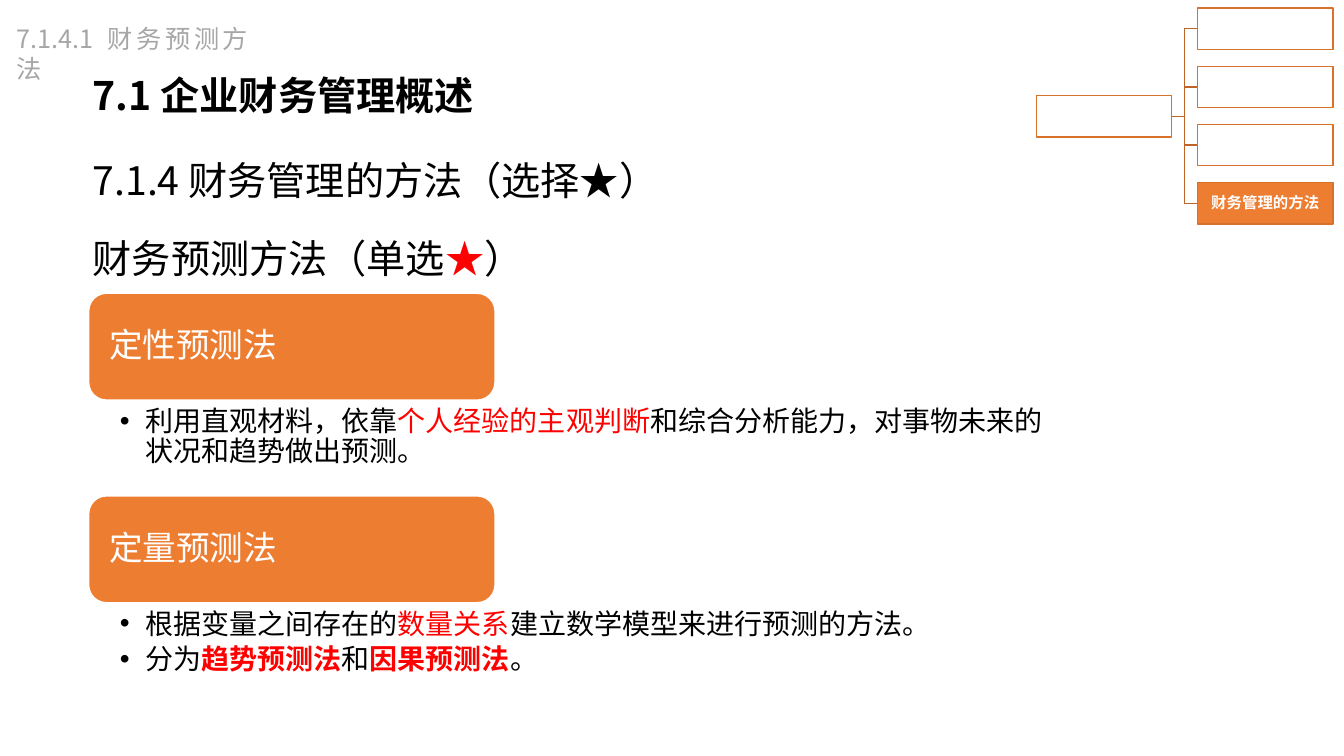
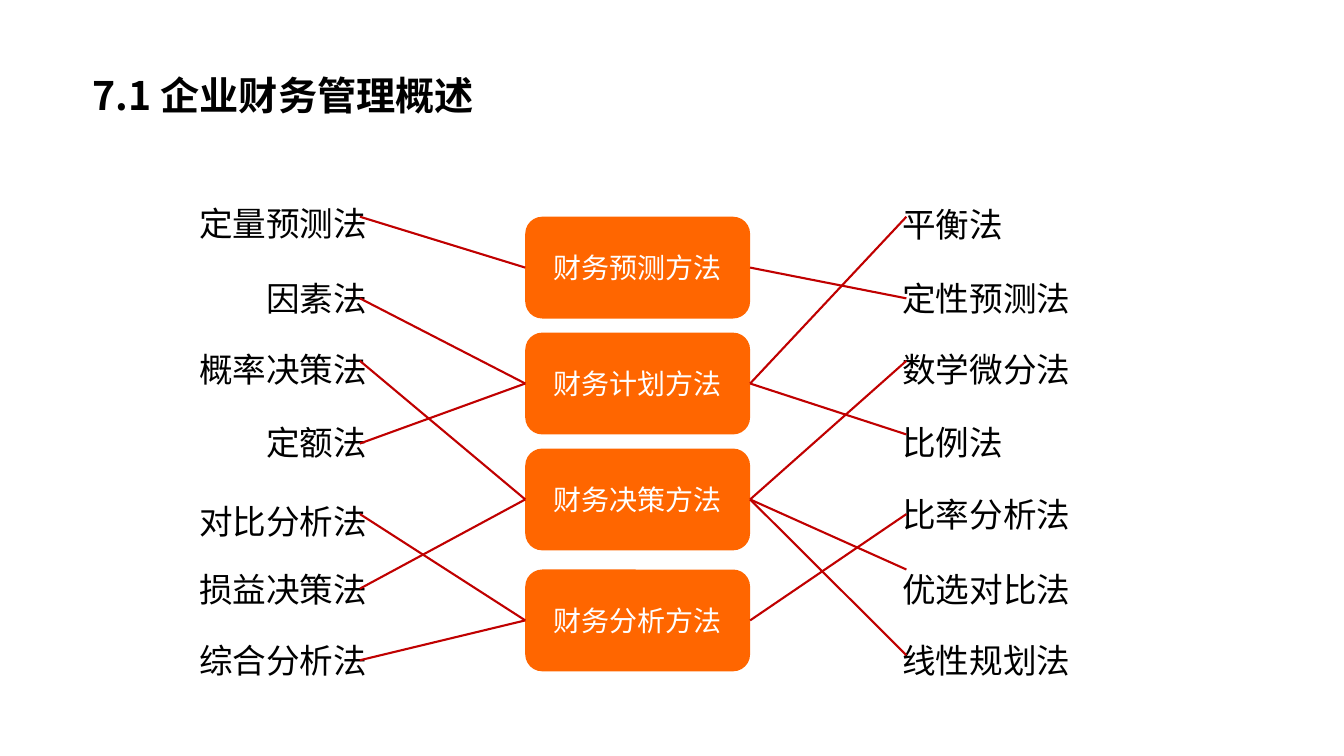
from lxml import etree
from pptx import Presentation
from pptx import util as u
from pptx.dml.color import RGBColor
from pptx.enum import shapes, text
from pptx.oxml.ns import qn

# Shared style
SC, JP = "Noto Sans CJK SC", "Noto Sans CJK JP"
BLACK, WHITE, RED, GREY = "000000", "FFFFFF", "FF0000", "A6A6A6"
ORANGE, BRIGHT_ORANGE = "ED7D31", "FF6600"
TREE_EDGE, TREE_LINE, LINK_RED = "D7712C", "BE6427", "C00000"
CHAPTER = "7.1 企业财务管理概述"
LEFT, CENTER, RIGHT = text.PP_ALIGN.LEFT, text.PP_ALIGN.CENTER, text.PP_ALIGN.RIGHT
TOP, MIDDLE = text.MSO_ANCHOR.TOP, text.MSO_ANCHOR.MIDDLE
WIDE_INSETS = (0.12, 0.06, 0.12, 0.06)
DEFAULT_INSETS = (0.1, 0.05, 0.1, 0.05)

# Slide 1: heading, its top, and the paragraphs below it as (text, colour, bold) runs
FORECASTS = [
    ("定性预测法", 2.91, [
        [("利用直观材料，依靠", BLACK, False), ("个人经验的主观判断", RED, False),
         ("和综合分析能力，对事物未来的状况和趋势做出预测。", BLACK, False)]]),
    ("定量预测法", 4.92, [
        [("根据变量之间存在的", BLACK, False), ("数量关系", RED, False),
         ("建立数学模型来进行预测的方法。", BLACK, False)],
        [("分为", BLACK, False), ("趋势预测法", RED, True), ("和", BLACK, False),
         ("因果预测法", RED, True), ("。", BLACK, False)]]),
]

# Slide 2: categories with their tops; techniques as (label, top, link height, category)
CATEGORIES = [("财务预测方法", 2.15), ("财务计划方法", 3.3),
              ("财务决策方法", 4.45), ("财务分析方法", 5.65)]
LEFT_TECHNIQUES = [
    ("定量预测法", 1.96, 2.15, 0), ("因素法", 2.71, 2.96, 1),
    ("概率决策法", 3.41, 3.58, 2), ("定额法", 4.14, 4.4, 1),
    ("对比分析法", 4.92, 5.1, 3), ("损益决策法", 5.59, 5.84, 2),
    ("综合分析法", 6.3, 6.55, 3)]
RIGHT_TECHNIQUES = [
    ("平衡法", 1.97, 2.15, 1), ("定性预测法", 2.71, 2.96, 0),
    ("数学微分法", 3.41, 3.58, 2), ("比例法", 4.14, 4.31, 1),
    ("比率分析法", 4.85, 5.1, 3), ("优选对比法", 5.59, 5.65, 2),
    ("线性规划法", 6.3, 6.5, 2)]


def rgb(color):
    return RGBColor.from_string(color)


def inches(*lengths):
    return [u.Inches(length) for length in lengths]


def style_paragraph(paragraph, size, face, color, bold=False, align=LEFT,
                    spacing=1.0, after=0):
    paragraph.alignment = align
    paragraph.line_spacing = spacing
    paragraph.space_before, paragraph.space_after = u.Pt(0), u.Pt(after)
    font = paragraph.font
    font.size, font.name, font.bold = u.Pt(size), face, bold
    font.color.rgb = rgb(color)
    defaults = paragraph._p.pPr.find(qn("a:defRPr"))
    etree.SubElement(defaults, qn("a:ea")).set("typeface", face)


def set_frame(frame, anchor=MIDDLE, insets=DEFAULT_INSETS):
    frame.word_wrap = True
    frame.auto_size = text.MSO_AUTO_SIZE.NONE
    frame.vertical_anchor = anchor
    (frame.margin_left, frame.margin_top,
     frame.margin_right, frame.margin_bottom) = inches(*insets)


def place(placeholder, left, top, width, height):
    (placeholder.left, placeholder.top,
     placeholder.width, placeholder.height) = inches(left, top, width, height)


def write(frame, words, size, face, color, **style):
    paragraph = frame.paragraphs[0]
    paragraph.text = words
    style_paragraph(paragraph, size, face, color, **style)
    return paragraph


def add_title(slide):
    title = slide.shapes.title
    place(title, 0.8, 0.65, 11.45, 0.59)
    set_frame(title.text_frame, TOP, WIDE_INSETS)
    write(title.text_frame, CHAPTER, 28, SC, BLACK, bold=True)


def add_label(slide, box, words, size, face, color, anchor=MIDDLE,
              insets=DEFAULT_INSETS, **style):
    frame = slide.shapes.add_textbox(*inches(*box)).text_frame
    set_frame(frame, anchor, insets)
    return write(frame, words, size, face, color, **style)


def add_box(slide, preset, box, fill, edge=None):
    panel = slide.shapes.add_shape(preset, *inches(*box))
    panel.shadow.inherit = False
    panel.fill.solid()
    panel.fill.fore_color.rgb = rgb(fill)
    if edge:
        panel.line.color.rgb = rgb(edge)
        panel.line.width = u.Pt(1)
    else:
        panel.line.fill.background()
    return panel


def add_runs(paragraph, runs):
    for words, color, bold in runs:
        run = paragraph.add_run()
        run.text = words
        run.font.color.rgb = rgb(color)
        run.font.bold = bold


def fill_list(body, top, items):
    place(body, 0.88, top, 9.84, 0.94)
    frame = body.text_frame
    set_frame(frame, TOP, (0.31, 0.03, 0.16, 0.03))
    for number, runs in enumerate(items):
        paragraph = frame.add_paragraph() if number else frame.paragraphs[0]
        add_runs(paragraph, runs)
        indents = paragraph._p.get_or_add_pPr()
        indents.set("marL", str(u.Inches(0.25)))
        indents.set("indent", str(u.Inches(-0.25)))
        style_paragraph(paragraph, 20, JP, BLACK, spacing=0.9, after=4)


def add_forecast(slide, body, heading, top, items):
    panel = add_box(slide, shapes.MSO_SHAPE.ROUNDED_RECTANGLE,
                    (0.88, top, 4.03, 1.06), ORANGE, WHITE)
    set_frame(panel.text_frame, insets=(0.15, 0.1, 0.15, 0.1))
    write(panel.text_frame, heading, 24, JP, WHITE, spacing=0.9, after=8.4)
    fill_list(body, top + 1.1, items)


def add_branch(slide, start, bend, end):
    builder = slide.shapes.build_freeform(*inches(*start))
    points = [(bend, start[1]), (bend, end[1]), end]
    builder.add_line_segments([inches(*point) for point in points], close=False)
    branch = builder.convert_to_shape()
    branch.shadow.inherit = False
    branch.fill.background()
    branch.line.color.rgb = rgb(TREE_LINE)
    branch.line.width = u.Pt(1)


def add_outline_tree(slide):
    width, height, child_left, root_left, root_top = 1.34, 0.41, 11.88, 10.28, 0.95
    child_tops = [0.08 + 0.577 * row for row in range(4)]
    root_right, middle = root_left + width, root_top + height / 2
    for top in child_tops:
        add_branch(slide, (root_right, middle), (root_right + child_left) / 2,
                   (child_left, top + height / 2))
    nodes = [(root_left, root_top)] + [(child_left, top) for top in child_tops]
    for left, top in nodes:
        current = top == child_tops[-1]
        node = add_box(slide, shapes.MSO_SHAPE.RECTANGLE, (left, top, width, height),
                       ORANGE if current else WHITE, TREE_EDGE)
        if current:
            set_frame(node.text_frame, insets=(0.01,) * 4)
            write(node.text_frame, "财务管理的方法", 11, SC, WHITE, bold=True,
                  align=CENTER, spacing=0.9)


def add_link(slide, category, site, end_x, end_y):
    link = slide.shapes.add_connector(shapes.MSO_CONNECTOR.STRAIGHT,
                                      *inches(0, 0, end_x, end_y))
    link.begin_connect(category, site)
    link.line.color.rgb = rgb(LINK_RED)
    link.line.width = u.Pt(1.5)
    etree.SubElement(link._element.spPr, qn("a:effectLst"))


def add_techniques(slide, categories, techniques, left, width, align, site, link_x):
    for label, top, link_y, category in techniques:
        add_label(slide, (left, top, width, 0.5), label, 24, JP, BLACK, align=align)
        add_link(slide, categories[category], site, link_x, link_y)


def build_forecast_slide(deck):
    slide = deck.slides.add_slide(deck.slide_layouts[3])
    add_title(slide)
    add_label(slide, (0.07, 0.18, 2.49, 0.4), "7.1.4.1 财务预测方法", 18, SC, GREY,
              anchor=TOP, align=text.PP_ALIGN.JUSTIFY)
    # Section headings
    heading = dict(insets=WIDE_INSETS, spacing=1.5)
    add_label(slide, (0.8, 1.15, 12.16, 1.04), "7.1.4 财务管理的方法（选择★）",
              28, SC, BLACK, **heading)
    topic = add_label(slide, (0.8, 1.92, 12.16, 1.04), "", 28, SC, BLACK, **heading)
    add_runs(topic, [("财务预测方法（单选", BLACK, False), ("★", RED, False),
                     ("）", BLACK, False)])
    # Forecast methods
    for number, forecast in enumerate(FORECASTS, 1):
        add_forecast(slide, slide.placeholders[number], *forecast)
    add_outline_tree(slide)


def build_matching_slide(deck):
    slide = deck.slides.add_slide(deck.slide_layouts[5])
    add_title(slide)
    # Categories in the middle
    categories = []
    for name, top in CATEGORIES:
        category = add_box(slide, shapes.MSO_SHAPE.ROUNDED_RECTANGLE,
                           (5.21, top, 2.23, 1.01), BRIGHT_ORANGE)
        set_frame(category.text_frame)
        write(category.text_frame, name, 20, JP, WHITE, align=CENTER)
        categories.append(category)
    # Techniques on both sides, each linked to its category
    add_techniques(slide, categories, LEFT_TECHNIQUES, 0.69, 3.05, RIGHT, 1, 3.57)
    add_techniques(slide, categories, RIGHT_TECHNIQUES, 8.85, 2.68, LEFT, 3, 8.99)


def main():
    deck = Presentation()
    deck.slide_width, deck.slide_height = inches(13.33, 7.5)
    build_forecast_slide(deck)
    build_matching_slide(deck)
    deck.save("out.pptx")


if __name__ == "__main__":
    main()
